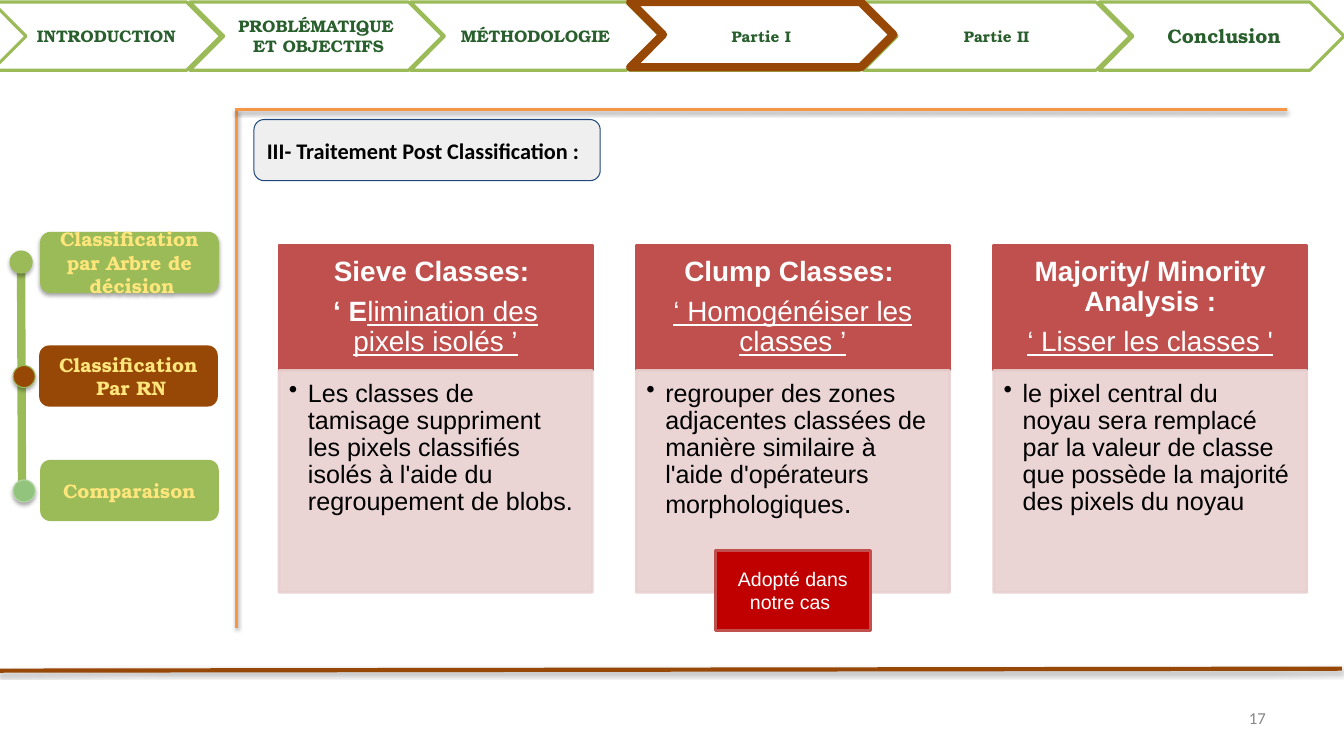
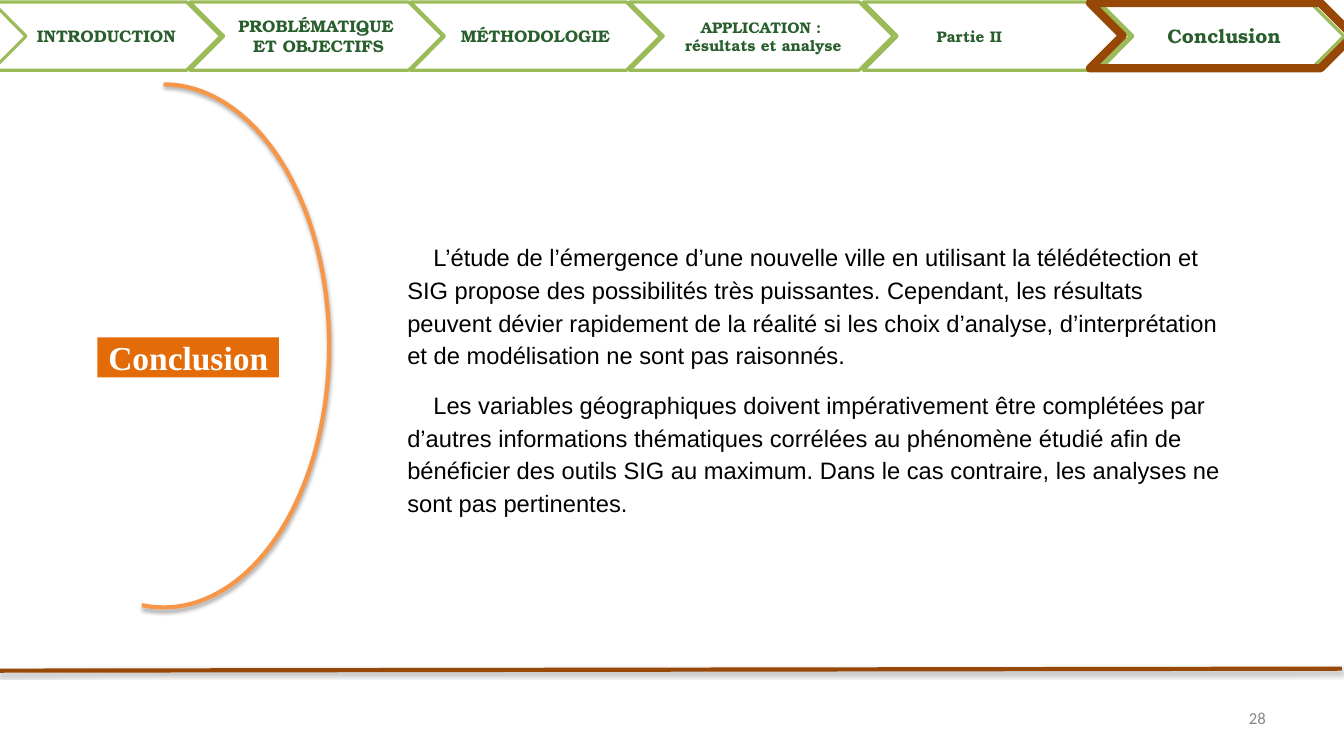
from lxml.etree import SubElement
from pptx import Presentation
from pptx.dml.color import RGBColor
from pptx.enum.shapes import MSO_CONNECTOR, MSO_SHAPE
from pptx.enum.text import MSO_ANCHOR, PP_ALIGN
from pptx.oxml.ns import qn
from pptx.util import Emu, Pt

PX = 9144
GREEN, BROWN, ORANGE, RED = "9BBB59", "974806", "F79646", "C0504D"
PALE, WHITE, BLACK = "E8D0D0", "FFFFFF", "000000"
SERIF = "TeX Gyre Bonum"
CENTER = {"alignment": PP_ALIGN.CENTER}
RTL = {"rtl": "1"}
INSET = (10, 5, 10, 5)

TAB = dict(name=SERIF, size=12, color="295F2D", bold=True)
STEP = dict(name=SERIF, size=14, color="FFE67C", bold=True)
HEAD = dict(name="Arial", size=20, color=WHITE, bold=True)
BODY = dict(name="Arial", size=18, color=BLACK)
UNDER = dict(bold=False, underline=True)

TABS = [
    (-8, 228, 12, ["INTRODUCTION"]),
    (189, 252, 12, ["PROBLÉMATIQUE", "ET OBJECTIFS "]),
    (409, 249, 12, ["MÉTHODOLOGIE"]),
]
LAST = (1095, 244, 14, ["Conclusion "])

STEPS = [
    ((40, 231), GREEN, True, "Classification par Arbre de décision "),
    ((39, 344), BROWN, False, "Classification Par RN "),
    ((40, 458), GREEN, False, "Comparaison"),
]
DOTS = [
    ((10, 250), GREEN, GREEN),
    ((13, 478), "93C47D", "B6D7A8"),
    ((13, 364), BROWN, GREEN),
]

CARDS = [
    ([["Sieve Classes: "], ["‘ E", ("limination des pixels isolés ’", UNDER)]],
     ["Les classes de tamisage suppriment les pixels classifiés isolés "
      "à l'aide du regroupement de blobs."]),
    ([["Clump Classes: "], [("‘ Homogénéiser les classes ’", UNDER)]],
     ["regrouper des zones adjacentes classées de manière similaire "
      "à l'aide d'opérateurs morphologiques", (".", {"size": 20})]),
    ([["Majority/ Minority Analysis :"], [("‘ Lisser les classes '", UNDER)]],
     ["le pixel central du noyau sera remplacé par la valeur de classe "
      "que possède la majorité des pixels du noyau"]),
]

CLOSING = [
    ["L’étude de l’émergence d’une nouvelle ville en utilisant la télédétection "
     "et SIG propose des possibilités très puissantes. Cependant, les résultats "
     "peuvent dévier rapidement de la réalité si les choix d’analyse, "
     "d’interprétation et de modélisation ne sont pas raisonnés."],
    ["Les variables géographiques doivent impérativement être complétées par "
     "d’autres informations thématiques corrélées au phénomène étudié afin de "
     "bénéficier des outils SIG au maximum. Dans le cas contraire, les analyses "
     "ne sont pas pertinentes."],
]


def px(*nums):
    return [Emu(num * PX) for num in nums]


def tint(code):
    return RGBColor.from_string(code)


def apply(item, values):
    for key, value in values.items():
        setattr(item, key, value)


def style(font, values):
    values = dict(values)
    if "color" in values:
        font.color.rgb = tint(values.pop("color"))
    if "size" in values:
        values["size"] = Pt(values["size"])
    apply(font, values)


def shade(part):
    props = part.element.spPr
    node = props.find(qn("a:effectLst"))
    if node is None:
        node = SubElement(props, qn("a:effectLst"))
    drop = SubElement(node, qn("a:outerShdw"), blurRad="39370", dist="22860",
                      dir="5400000", algn="ctr", rotWithShape="0")
    color = SubElement(drop, qn("a:srgbClr"), val=BLACK)
    SubElement(color, qn("a:alpha"), val="35000")


def write(part, paras, font, form={}, attrs={}, inset=INSET,
          anchor=MSO_ANCHOR.MIDDLE, bullet=False, gap=0):
    frame = part.text_frame
    sides = ("margin_left", "margin_top", "margin_right", "margin_bottom")
    apply(frame, dict(zip(sides, px(*inset)), word_wrap=True,
                      vertical_anchor=anchor))
    for rank, runs in enumerate(paras):
        para = frame.add_paragraph() if rank else frame.paragraphs[0]
        props = para._p.get_or_add_pPr()
        for key, value in attrs.items():
            props.set(key, value)
        if bullet:
            color = SubElement(props, qn("a:buClr"))
            SubElement(color, qn("a:srgbClr"), val=BLACK)
            SubElement(props, qn("a:buChar"), char="•")
        apply(para, {"alignment": PP_ALIGN.LEFT, **form})
        if rank and gap:
            para.space_before = Pt(gap)
        for piece in runs:
            text, extra = (piece, {}) if isinstance(piece, str) else piece
            run = para.add_run()
            run.text = text
            style(run.font, {**font, **extra})


def shape(slide, kind, box, fill=None, line=None, width=1, shadow=False,
          alpha=None):
    part = slide.shapes.add_shape(kind, *px(*box))
    part.shadow.inherit = False
    if fill:
        part.fill.solid()
        part.fill.fore_color.rgb = tint(fill)
    else:
        part.fill.background()
    if line:
        part.line.color.rgb = tint(line)
        part.line.width = Pt(width)
    else:
        part.line.fill.background()
    if alpha:
        for color in part.element.spPr.iter(qn("a:srgbClr")):
            SubElement(color, qn("a:alpha"), val=str(alpha * 1000))
    if shadow:
        shade(part)
    return part


def rule(slide, ends, color, width, shadow=True):
    part = slide.shapes.add_connector(MSO_CONNECTOR.STRAIGHT, *px(*ends))
    part.line.color.rgb = tint(color)
    part.line.width = Pt(width)
    if shadow:
        shade(part)
    else:
        SubElement(part.element.spPr, qn("a:effectLst"))


def label(slide, box, paras, font, **opts):
    write(slide.shapes.add_textbox(*px(*box)), paras, font, **opts)


def chrome(deck, number, fourth, fifth, shift, mark):
    slide = deck.slides.add_slide(deck.slide_layouts[6])
    rule(slide, (-2, 668, 1337, 666), BROWN, 3)
    tabs = TABS + [(627, 263, 11, [fourth]), LAST, (860, 266, 11, [fifth])]
    for left, wide, size, lines in tabs:
        tab = shape(slide, MSO_SHAPE.CHEVRON, (left, 2, wide, 68),
                    WHITE, GREEN, 2.25)
        attrs = {**RTL, **shift} if lines == [fifth] else RTL
        write(tab, [[text] for text in lines], {**TAB, "size": size},
              CENTER, attrs)
    shape(slide, MSO_SHAPE.CHEVRON, (*mark, 262, 65), None, BROWN, 6)
    label(slide, (959, 695, 312, 40), [[number]],
          dict(name="Calibri", size=12, color="888888"),
          form={"alignment": PP_ALIGN.RIGHT})
    return slide


def methods(deck):
    slide = chrome(deck, "17", "Partie I", " Partie II ", {}, (628, 2))
    rule(slide, (236, 109, 236, 625), ORANGE, 2)
    rule(slide, (234, 109, 1282, 109), ORANGE, 2)
    rule(slide, (21, 272, 22, 495), GREEN, 6, False)
    for spot, fill, shadow, text in STEPS:
        step = shape(slide, MSO_SHAPE.ROUNDED_RECTANGLE, (*spot, 178, 61),
                     fill, shadow=shadow)
        write(step, [[text]], STEP, CENTER, RTL)
    for spot, fill, line in DOTS:
        shape(slide, MSO_SHAPE.FLOWCHART_CONNECTOR, (*spot, 22, 22),
              fill, line, 0.75, True)
    title = shape(slide, MSO_SHAPE.ROUNDED_RECTANGLE, (253, 119, 345, 61),
                  "EFEFEF", "1F497D", 0.75)
    write(title, [["III- Traitement Post Classification :"]],
          dict(name="Calibri", size=16, color=BLACK, bold=True),
          inset=(10, 10, 10, 10))
    for rank, (head, body) in enumerate(CARDS):
        left = 278 + 356 * rank
        top = shape(slide, MSO_SHAPE.RECTANGLE, (left, 244, 312, 125),
                    RED, RED, 2)
        write(top, head, HEAD, {**CENTER, "line_spacing": 0.9},
              inset=(16, 9, 16, 9), gap=7)
        base = shape(slide, MSO_SHAPE.RECTANGLE, (left, 369, 312, 221),
                     PALE, PALE, 2, alpha=90)
        write(base, [body], BODY, {"line_spacing": 0.9},
              {"marL": str(19 * PX), "indent": str(-19 * PX)},
              (10, 10, 14, 16), MSO_ANCHOR.TOP, True)
    badge = shape(slide, MSO_SHAPE.RECTANGLE, (713, 548, 154, 80),
                  "C00000", RED, 2)
    write(badge, [["Adopté dans notre cas "]],
          dict(name="Arial", size=14, color=WHITE), CENTER)


def ending(deck):
    slide = chrome(deck, "28", "APPLICATION : résultats et analyse ",
                   " Partie II", {"marL": str(50 * PX), "indent": "0"},
                   (1086, 3))
    arc = shape(slide, MSO_SHAPE.ARC, (-2, 84, 330, 521), None, ORANGE, 3, True)
    arc.adjustments[0], arc.adjustments[1] = 162, 56.87
    title = shape(slide, MSO_SHAPE.RECTANGLE, (97, 336, 181, 40), "E36C09")
    write(title, [["Conclusion"]],
          dict(name="Times New Roman", size=24, color=WHITE, bold=True),
          CENTER, inset=(0, 0, 0, 0))
    label(slide, (396, 228, 833, 296), CLOSING, {**BODY, "size": 17},
          form={"line_spacing": 1.15}, attrs={"indent": str(26 * PX)},
          inset=(10, 10, 10, 10), anchor=MSO_ANCHOR.TOP, gap=12)


def main():
    deck = Presentation()
    deck.slide_width, deck.slide_height = px(1339, 750)
    methods(deck)
    ending(deck)
    deck.save("out.pptx")


if __name__ == "__main__":
    main()
